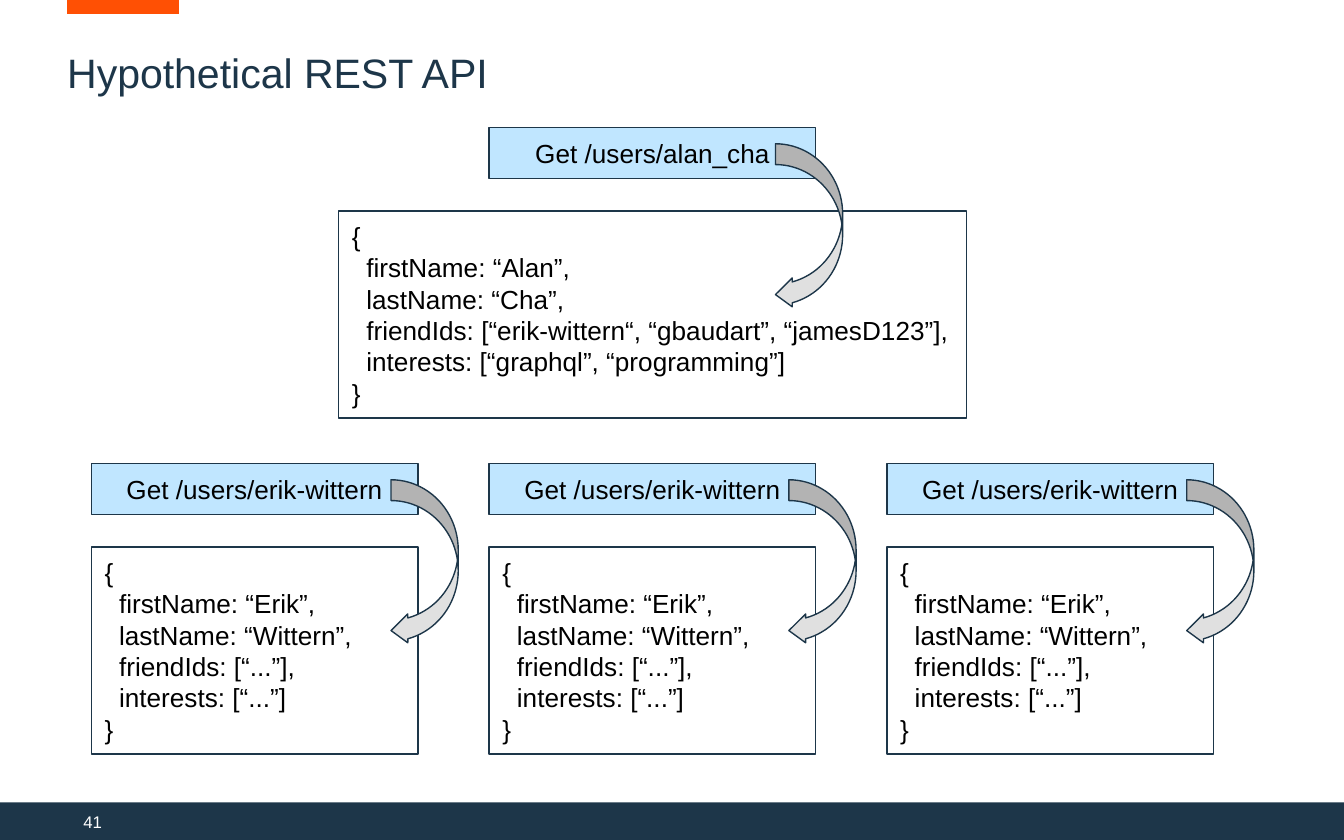
from dataclasses import dataclass

from lxml.etree import SubElement
from pptx import Presentation
from pptx.dml.color import RGBColor as Rgb
from pptx.enum.shapes import MSO_CONNECTOR as Conn, MSO_SHAPE as Kind
from pptx.enum.text import MSO_ANCHOR as Anchor, PP_ALIGN as Align
from pptx.oxml.ns import qn
from pptx.util import Pt

PX = 9144  # 100 px to the inch


@dataclass(frozen=True)
class Theme:
    font: str = "Arial"
    navy: str = "1D3649"
    orange: str = "FF5004"
    blue: str = "C0E6FF"
    grey: str = "E0E0E0"
    white: str = "FFFFFF"
    black: str = "000000"
    title: int = 22
    body: int = 14
    small: int = 9
    edge: float = 0.75
    stripe: int = 8


THEME = Theme()

ALAN = [
    "{",
    "  firstName: “Alan”,",
    "  lastName: “Cha”,",
    "  friendIds: [“erik-wittern“, “gbaudart”, “jamesD123”],",
    "  interests: [“graphql”, “programming”]",
    "}",
]
ERIK = [
    "{",
    "  firstName: “Erik”,",
    "  lastName: “Wittern”,",
    "  friendIds: [“...”],",
    "  interests: [“...”]",
    "}",
]


def emu(*sizes):
    return [size * PX for size in sizes]


def write(frame, lines, size, color, align=Align.LEFT, anchor=Anchor.MIDDLE,
          inset=0, space=1.0):
    frame.word_wrap = True
    frame.vertical_anchor = anchor
    frame.margin_left = frame.margin_right = inset * PX
    frame.margin_top = frame.margin_bottom = inset * PX
    for i, line in enumerate(lines):
        para = frame.add_paragraph() if i else frame.paragraphs[0]
        para.alignment = align
        para.line_spacing = space
        para.space_before = Pt(0)
        run = para.add_run()
        run.text = line
        run.font.name = THEME.font
        run.font.size = Pt(size)
        run.font.color.rgb = Rgb.from_string(color)


def draw(slide, kind, box, fill, edge=True):
    shape = slide.shapes.add_shape(kind, *emu(*box))
    shape.shadow.inherit = False
    shape.fill.solid()
    shape.fill.fore_color.rgb = Rgb.from_string(fill)
    if edge:
        shape.line.color.rgb = Rgb.from_string(THEME.navy)
        shape.line.width = Pt(THEME.edge)
    else:
        shape.line.fill.background()
    return shape


def add_head(slide, left, top, width, height):
    """Place the title and the orange stripe above it."""
    stripe = slide.shapes.add_connector(
        Conn.STRAIGHT, *emu(left, 5, left + 83, 5))
    stripe.line.color.rgb = Rgb.from_string(THEME.orange)
    stripe.line.width = Pt(THEME.stripe)
    SubElement(stripe.element.spPr, qn("a:effectLst"))

    title = slide.shapes.title
    title.left, title.top, title.width, title.height = emu(
        left, top, width, height)
    write(title.text_frame, ["Hypothetical REST API"], THEME.title,
          THEME.navy, anchor=Anchor.TOP, space=1.28)


def add_foot(slide, left, top, width, height):
    draw(slide, Kind.RECTANGLE, (left, top, width, height), THEME.navy, False)
    page = slide.shapes.add_textbox(*emu(left + 12, top + 2, 191, 20))
    write(page.text_frame, ["\t41"], THEME.small, THEME.white,
          anchor=Anchor.BOTTOM, space=0.9)


def add_call(slide, left, top, width, path, lines, wide, shift):
    """Place a request, its centred reply and the arrow between them."""
    ask = draw(slide, Kind.RECTANGLE, (left, top, width, 38), THEME.blue)
    write(ask.text_frame, [path], THEME.body, THEME.black,
          align=Align.CENTER, inset=10)

    inner = left + (width - wide) // 2
    reply = draw(slide, Kind.RECTANGLE, (inner, top + 62, wide, 154),
                 THEME.white)
    write(reply.text_frame, lines, THEME.body, THEME.black, inset=10)

    arrow = draw(slide, Kind.CURVED_LEFT_ARROW,
                 (left + shift, top + 12, 50, 123), THEME.grey)
    for i, value in enumerate((0.31, 0.43, 0.25)):
        arrow.adjustments[i] = value


def main():
    deck = Presentation()
    deck.slide_width, deck.slide_height = emu(1000, 625)
    slide = deck.slides.add_slide(deck.slide_layouts[5])

    add_head(slide, 50, 25, 900, 38)
    add_foot(slide, 0, 597, 1000, 28)

    first, step, width = 68, 296, 243
    add_call(slide, first + step, 95, width, "Get /users/alan_cha", ALAN,
             wide=467, shift=213)
    for col in range(3):
        add_call(slide, first + col * step, 345, width,
                 "Get /users/erik-wittern", ERIK, wide=width, shift=223)

    deck.save("out.pptx")


if __name__ == "__main__":
    main()
